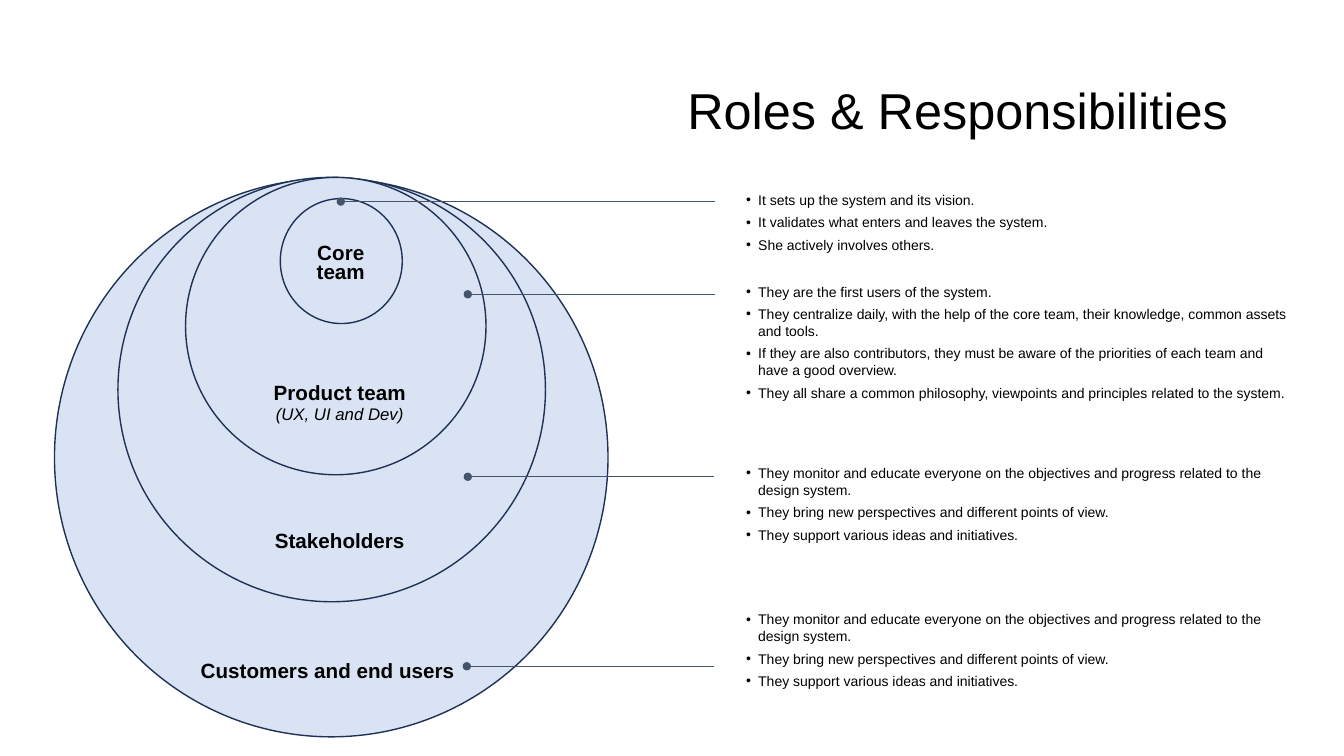
import pptx
import pptx.util
import pptx.dml.color
import pptx.enum.shapes
import pptx.enum.text
import pptx.oxml
import pptx.oxml.ns
import pptx.oxml.xmlchemy

PX = 9144  # one px is a hundredth of an inch
PALE_BLUE = pptx.dml.color.RGBColor(0xDA, 0xE3, 0xF3)
NAVY = pptx.dml.color.RGBColor(0x1E, 0x32, 0x56)
SLATE = pptx.dml.color.RGBColor(0x44, 0x54, 0x6A)
BLACK = pptx.dml.color.RGBColor(0, 0, 0)

ALIGN = pptx.enum.text.PP_ALIGN
ANCHOR = pptx.enum.text.MSO_ANCHOR
OVAL = pptx.enum.shapes.MSO_SHAPE.OVAL
STRAIGHT = pptx.enum.shapes.MSO_CONNECTOR.STRAIGHT
GROW = pptx.enum.text.MSO_AUTO_SIZE.SHAPE_TO_FIT_TEXT

TITLE = {"size": 36}
LABEL = {"size": 14.7, "bold": True}
SUBLABEL = {"size": 12, "italic": True}
BODY = {"size": 10}

# left, top, width, height, from the outermost circle inwards
CIRCLES = [
    (54, 177, 549, 554),
    (117, 176, 424, 421),
    (184, 176, 298, 295),
    (278, 197, 121, 124),
]

# frame, anchor, insets (left, top, right, bottom), lines (text, format, spacing)
CIRCLE_LABELS = [
    ((86, 120, 502, 502), ANCHOR.BOTTOM, (0, 0, 0, 0),
     [("Stakeholders", LABEL, 0.8)]),
    ((170, 147, 334, 334), ANCHOR.MIDDLE, (13, 187, 13, 13),
     [("Product team", LABEL, 0.8), ("(UX, UI and Dev)", SUBLABEL, 1.0)]),
    ((252, 176, 172, 172), ANCHOR.MIDDLE, (13, 13, 13, 13),
     [("Core team", LABEL, 0.8)]),
]

# leader start, end and height
LEADERS = [(338, 709, 200), (464, 709, 292), (464, 708, 473), (463, 708, 661)]

SUPPORTERS = [
    "They monitor and educate everyone on the objectives and progress "
    "related to the design system.",
    "They bring new perspectives and different points of view.",
    "They support various ideas and initiatives.",
]
# top, height and bullets of each group
DUTIES = [
    (177, 94, [
        "It sets up the system and its vision.",
        "It validates what enters and leaves the system.",
        "She actively involves others.",
    ]),
    (268, 167, [
        "They are the first users of the system.",
        "They centralize daily, with the help of the core team, their knowledge, "
        "common assets and tools.",
        "If they are also contributors, they must be aware of the priorities of "
        "each team and have a good overview.",
        "They all share a common philosophy, viewpoints and principles related "
        "to the system.",
    ]),
    (448, 111, SUPPORTERS),
    (593, 111, SUPPORTERS),
]


def scaled(lengths):
    return [length * PX for length in lengths]


def set_format(target, values):
    for name, value in values.items():
        setattr(target, name, value)


def set_frame(shape, insets, **values):
    sides = ("margin_left", "margin_top", "margin_right", "margin_bottom")
    set_format(shape.text_frame, {**dict(zip(sides, scaled(insets))),
                                  "word_wrap": True, **values})
    return shape.text_frame


def add_run(paragraph, text, style):
    run = paragraph.add_run()
    run.text = text
    set_format(run.font, {"name": "Arial", **style,
                          "size": pptx.util.Pt(style["size"])})
    run.font.color.rgb = BLACK


def add_lines(frame, lines, alignment):
    for index, (text, style, spacing) in enumerate(lines):
        paragraph = frame.add_paragraph() if index else frame.paragraphs[0]
        set_format(paragraph, {"alignment": alignment, "line_spacing": spacing})
        add_run(paragraph, text, style)


def add_circle(slide, box):
    shape = slide.shapes.add_shape(OVAL, *scaled(box))
    shape.shadow.inherit = False
    shape.fill.solid()
    shape.fill.fore_color.rgb = PALE_BLUE
    shape.line.color.rgb = NAVY
    shape.line.width = pptx.util.Pt(1)


def add_circle_label(slide, box, anchor, insets, lines):
    shape = slide.shapes.add_shape(OVAL, *scaled(box))
    shape.shadow.inherit = False
    shape.fill.background()
    shape.line.fill.background()
    frame = set_frame(shape, insets, vertical_anchor=anchor)
    add_lines(frame, lines, ALIGN.CENTER)


def add_text(slide, box, insets, line, alignment, **values):
    shape = slide.shapes.add_textbox(*scaled(box))
    add_lines(set_frame(shape, insets, **values), [line], alignment)


def add_leader(slide, start, end, height):
    connector = slide.shapes.add_connector(
        STRAIGHT, *scaled((start, height, end, height)))
    connector.line.color.rgb = SLATE
    connector.line.width = pptx.util.Pt(0.75)
    outline = connector.line._get_or_add_ln()
    outline.append(pptx.oxml.parse_xml(
        f'<a:headEnd {pptx.oxml.ns.nsdecls("a")} type="oval"/>'))
    connector._element.spPr.append(pptx.oxml.parse_xml(
        f'<a:effectLst {pptx.oxml.ns.nsdecls("a")}/>'))


def add_bullet(paragraph):
    properties = paragraph._p.get_or_add_pPr()
    properties.set("marL", str(12 * PX))
    properties.set("indent", str(-17 * PX))
    namespace = pptx.oxml.ns.nsdecls("a")
    for xml in (f'<a:buClr {namespace}><a:srgbClr val="{BLACK}"/></a:buClr>',
                f'<a:buFont {namespace} typeface="Arial"/>',
                f'<a:buChar {namespace} char="•"/>'):
        properties.append(pptx.oxml.parse_xml(xml))


def add_duties(slide, top, height, duties):
    shape = slide.shapes.add_textbox(*scaled((727, top, 569, height)))
    frame = set_frame(shape, (13, 13, 13, 13), auto_size=GROW)
    for index, duty in enumerate(duties):
        paragraph = frame.add_paragraph() if index else frame.paragraphs[0]
        add_bullet(paragraph)
        if index:
            paragraph.space_before = pptx.util.Pt(4)
        add_run(paragraph, duty, BODY)
    paragraph.space_after = pptx.util.Pt(4)


def main():
    presentation = pptx.Presentation()
    presentation.slide_width, presentation.slide_height = scaled((1333, 750))
    slide = presentation.slides.add_slide(presentation.slide_layouts[6])

    # Nested circles
    for box in CIRCLES:
        add_circle(slide, box)

    # Title
    add_text(slide, (92, 40, 1150, 145), (10, 5, 24, 5),
             ("Roles & Responsibilities", TITLE, 0.9), ALIGN.RIGHT,
             vertical_anchor=ANCHOR.MIDDLE)

    # Circle names
    for label in CIRCLE_LABELS:
        add_circle_label(slide, *label)
    add_text(slide, (199, 649, 275, 28), (0, 0, 0, 0),
             ("Customers and end users", LABEL, 1.15), ALIGN.LEFT, auto_size=GROW)

    # Leaders and duties
    for leader in LEADERS:
        add_leader(slide, *leader)
    for group in DUTIES:
        add_duties(slide, *group)

    presentation.save("out.pptx")


if __name__ == "__main__":
    main()
